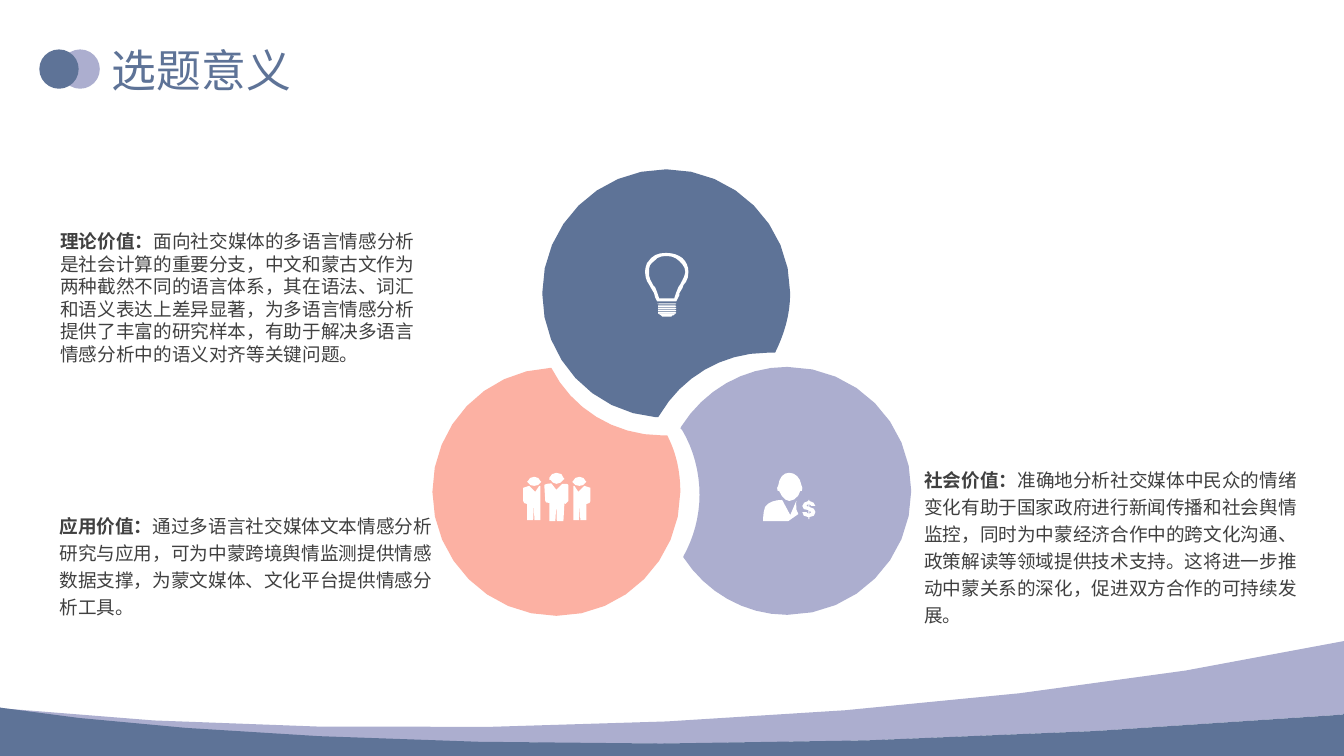
from math import ceil, dist
from lxml.etree import SubElement
from pptx import Presentation
from pptx.dml.color import RGBColor
from pptx.enum.shapes import MSO_SHAPE
from pptx.oxml.ns import qn
from pptx.util import Pt

FONT = "Noto Sans CJK SC"
INK = {"blue": "5E7397", "lilac": "ACAECF", "coral": "FCB1A3",
       "white": "FFFFFF", "gray": "404040"}
CELL = 72

deck = Presentation()
deck.slide_width, deck.slide_height = Pt(960), Pt(540)
slide = deck.slides.add_slide(deck.slide_layouts[6])
shapes = slide.shapes


def trace(home, route, ink, axis=None):
    pen, dots = None, []
    for step in route.split():
        nums = [float(n) * CELL for n in step[1:].split(",")]
        spots = list(zip(nums[::2], nums[1::2]))
        if axis:
            spots = [(2 * axis * CELL - x, y) for x, y in spots]
        if step[0] == "M":
            if pen is None:
                pen = home.build_freeform(*spots[0], scale=Pt(0.01))
            else:
                pen.add_line_segments(dots, close=True)
                pen.move_to(*spots[0])
            dots = []
        elif step[0] == "L":
            dots += spots
        else:
            curve = [last, *spots]
            count = max(1, min(8, ceil(dist(last, spots[-1]) / CELL / 5)))
            for i in range(1, count + 1):
                t = i / count
                parts = ((1 - t) ** 3, 3 * t * (1 - t) ** 2, 3 * t * t * (1 - t), t ** 3)
                dots.append(tuple(sum(w * p[k] for w, p in zip(parts, curve)) for k in (0, 1)))
        last = spots[-1]
    pen.add_line_segments(dots, close=True)
    paint(pen.convert_to_shape(), ink)


def paint(shape, ink):
    shape.shadow.inherit = False
    shape.fill.solid()
    shape.fill.fore_color.rgb = RGBColor.from_string(INK[ink])
    shape.line.fill.background()


badge = shapes.add_group_shape().shapes
for left, ink in ((43.2, "lilac"), (28.1, "blue")):
    paint(badge.add_shape(MSO_SHAPE.OVAL, Pt(left), Pt(35.3), Pt(28.1), Pt(28.1)), ink)

waves = shapes.add_group_shape().shapes
trace(waves, "M1333.3,636 L1333.3,709 L1332,709 C650,763,171,730,0,703 L0,702 "
      "L5,703 C376,742,944,720,1328,637", "lilac")
trace(waves, "M0,702 C171,729,650,763,1332,709 L1333.3,708 L1333.3,750 L0,750", "blue")

trace(shapes, "M653,414 L651,414 C588,409,538,356,538,291 C538,223,593,168,661,168 "
      "C729,168,784,223,784,291 C784,312,778,332,769,350 L768,350 "
      "C766,350,764,350,761,350 C716,350,676,375,655,411", "blue")
trace(shapes, "M781,610 C738,610,700,587,678,553 L678,552 C688,534,694,513,694,491 "
      "C694,468,688,446,677,427 L675,425 L676,423 C698,388,737,364,781,364 "
      "C849,364,904,419,904,487 C904,555,849,610,781,610", "lilac")
trace(shapes, "M552,611 C484,611,429,555,429,488 C429,422,481,368,546,365 L547,365 "
      "C567,405,609,432,657,432 L662,432 L663,434 C671,450,675,468,675,488 "
      "C675,555,620,611,552,611", "coral")

bulb = shapes.add_group_shape().shapes
trace(bulb, "M656,313 L657,312 L666,312 L667,313 L666,314 L657,314", "white")
trace(bulb, "M653,311 L670,311 L668,313 L656,313", "white")
for row in range(4):
    top = 303 + 2.2 * row
    low = top + 1.6
    trace(bulb, f"M653,{top:.1f} L670,{top:.1f} L671,{top + 0.8:.1f} L670,{low:.1f} "
          f"L653,{low:.1f}", "white")
trace(bulb, "M654,301 L670,301 L671,301.5 L670,302 L654,302 L652,301.5", "white")
trace(bulb, "M654,299 L652,299 L650,295 L649,291 C648,289,647,288,646,286 "
      "L645,284 C644,282,643,281,642,279 C641,276,640,274,640,270 L640,269 "
      "C640,266,641,264,642,261 C643,259,645,258,646,256 C650,252,655,251,660,251 "
      "L662,251 C668,251,673,253,677,256 C681,260,683,264,683,270 "
      "C683,276,681,280,678,283 L677,286 L674,291 L674,293 L671,299 L669,299 "
      "M662,254 L661,254 C656,254,652,255,649,259 C648,260,646,261,645,263 "
      "C644,265,644,267,644,269 C644,273,644,275,645,277 L648,283 L650,285 "
      "L652,290 L653,293 L654,296 L669,296 L670,293 L671,290 L673,285 L675,282 "
      "C677,278,679,275,680,270 C680,265,677,262,674,259 "
      "C671,256,667,254,662,254", "white")

team = shapes.add_group_shape().shapes
trace(team, "M545,476 L546,476 C547,478,550,480,552,480 C555,480,558,478,559,476 "
      "L560,475 L559,474 C559,471,556,469,552,469 C549,469,546,471,545,474", "white")
trace(team, "M562,480 L558,480 L552,486 L547,479.5 L543,480 L540,481 L541,497 "
      "L542,498.5 L545,499 L545,517 L551,517 L552,500 L552.4,517 L559,517 L560,499 "
      "L561,500 L563,498 L564,497 L564,482 L563.5,480.6", "white")
for axis in (None, 552.4):
    trace(team, "M536,477 C536,475,533,473,530,473 C527,473,524,475,524,477 "
          "L523,478 L524,479 C525,481,527,482,530,482 C533,482,535,481,536,479 "
          "L537,478", "white", axis)
    trace(team, "M536,501 L536,482 L535,482 L531,488 L525,482 L522,483 L519,484 "
          "L519,497 L520,499 L523,500 L523,516 L529,516 L529.7,500 L530.2,516 "
          "L536,516", "white", axis)

banker = shapes.add_group_shape().shapes
trace(banker, "M795,481 C794,474,789,469,783,469 C777,469,773,474,772,482 "
      "L771,484 L771.5,487 L773,487 C775,492,779,497,783,497 "
      "C788,497,793,492,794,487 L795.5,487 L796,484", "white")
trace(banker, "M790,497 L784,511 L776,496 C769,496,762,498,759,503 "
      "C757,507,757,517,757,517 L782,517 L792,510 C789,508,790,497,790,497", "white")
trace(banker, "M802,496 L803,496 L803,497 C806,498,809,499,809,502 L805,502 "
      "L803,500 L803,503 C807,504,809,505,809,508 "
      "C809,511,807,513,803,513 L803,515 L802,515 L802,513 C798,513,796,511,796,508 "
      "L800,508 L802,510 L802,506 C798,506,796,505,796,502 "
      "C796,499,799,498,802,497 "
      "M802,500 L800,501.5 L802,503 M803,510 L805,508 L803,507", "white")

notes = (
    (72.7, 26.6, 300.2, 46.1, None, 32, 38.9, "blue", ("选题意义",)),
    (36, 160.6, 272.9, 104.4, None, 13.3, 16.1, "gray",
     ("理论价值：", "面向社交媒体的多语言情感分析是社会计算的重要分支，中文和蒙古文作为两种截然不同的语言体系，其在语法、词汇和语义表达上差异显著，为多语言情感分析提供了丰富的研究样本，有助于解决多语言情感分析中的语义对齐等关键问题。")),
    (660.2, 331.2, 268.6, 116.6, 0, 13.3, 19.4, "gray",
     ("社会价值：", "准确地分析社交媒体中民众的情绪变化有助于国家政府进行新闻传播和社会舆情监控，同时为中蒙经济合作中的跨文化沟通、政策解读等领域提供技术支持。这将进一步推动中蒙关系的深化，促进双方合作的可持续发展。")),
    (42.5, 364.3, 266.4, 77.8, 0, 13.3, 19.4, "gray",
     ("应用价值：", "通过多语言社交媒体文本情感分析研究与应用，可为中蒙跨境舆情监测提供情感数据支撑，为蒙文媒体、文化平台提供情感分析工具。")),
)
for left, top, wide, high, inset, size, pitch, ink, words in notes:
    frame = shapes.add_textbox(Pt(left), Pt(top), Pt(wide), Pt(high)).text_frame
    frame.word_wrap = True
    if inset is not None:
        frame.margin_left = frame.margin_right = Pt(inset)
        frame.margin_top = frame.margin_bottom = Pt(inset)
    para = frame.paragraphs[0]
    para.line_spacing = Pt(pitch)
    for i, word in enumerate(words):
        run = para.add_run()
        run.text = word
        run.font.size = Pt(size)
        run.font.bold = i == 0 and len(words) > 1
        run.font.color.rgb = RGBColor.from_string(INK[ink])
        run.font.name = FONT
        SubElement(run.font._element, qn("a:ea")).set("typeface", FONT)

deck.save("out.pptx")
